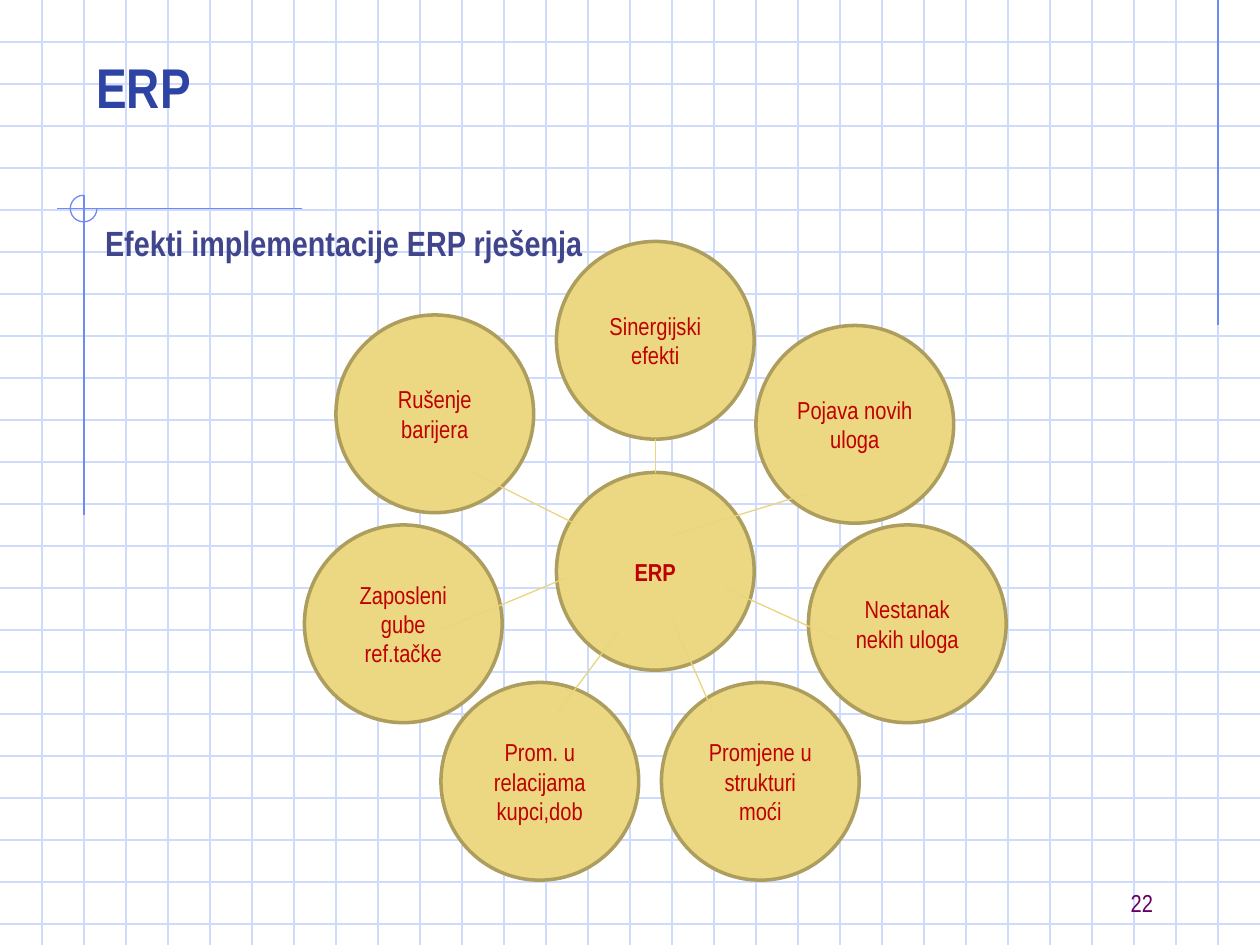
from lxml import etree
from pptx import Presentation
from pptx.dml.color import RGBColor
from pptx.enum import shapes, text
from pptx.oxml import ns
from pptx.util import Pt

WIDTH, HEIGHT = 720, 540
GRID_STEP = 24
DIAMETER = 113
FONT = "Arial Narrow"

GRID = RGBColor(0xCF, 0xDB, 0xFD)
ACCENT = RGBColor(0x6F, 0x89, 0xF7)
SAND = RGBColor(0xEC, 0xD8, 0x82)
SAND_EDGE = RGBColor(0xAD, 0x9E, 0x5E)
SPOKE = RGBColor(0xE9, 0xD5, 0x7C)
RED = RGBColor(0xC0, 0x00, 0x00)
TITLE_BLUE = RGBColor(0x2D, 0x44, 0xA4)
SUBTITLE_BLUE = RGBColor(0x40, 0x45, 0x8C)
PURPLE = RGBColor(0x66, 0x00, 0x66)

presentation = Presentation()
presentation.slide_width, presentation.slide_height = Pt(WIDTH), Pt(HEIGHT)
slide = presentation.slides.add_slide(presentation.slide_layouts[6])


def add_line(x1, y1, x2, y2, color):
    line = slide.shapes.add_connector(
        shapes.MSO_CONNECTOR.STRAIGHT, Pt(x1), Pt(y1), Pt(x2), Pt(y2))
    line.line.color.rgb = color
    line.line.width = Pt(0.75)
    etree.SubElement(line._element.spPr, ns.qn("a:effectLst"))


def write(shape, wording, size, color, bold, align, anchor):
    """Fill a shape with one wrapped, formatted paragraph."""
    frame = shape.text_frame
    frame.word_wrap = True
    frame.vertical_anchor = anchor
    frame.text = wording
    paragraph = frame.paragraphs[0]
    paragraph.alignment = align
    font = paragraph.runs[0].font
    font.name, font.size, font.bold = FONT, Pt(size), bold
    font.color.rgb = color


# Graph paper
for y in range(GRID_STEP, HEIGHT, GRID_STEP):
    add_line(0, y, WIDTH, y, GRID)
for x in range(GRID_STEP, WIDTH, GRID_STEP):
    add_line(x, 0, x, HEIGHT, GRID)

# Accent lines and the three-quarter arc at their crossing
add_line(696, 0, 696, 186, ACCENT)
add_line(172.8, 119.2, 32.6, 119.2, ACCENT)
add_line(48, 111.6, 48, 294.5, ACCENT)
arc = slide.shapes.add_shape(
    shapes.MSO_SHAPE.ARC, Pt(40.2), Pt(111.6), Pt(15.2), Pt(15.2))
arc.adjustments[0] = 0
arc.adjustments[1] = 162  # 270 degrees, in units of 100000/60000 degree
arc.fill.background()
arc.line.color.rgb = ACCENT
arc.line.width = Pt(0.75)
arc.shadow.inherit = False

# Circles: wording, left, top, bold
circles = [
    ("ERP", 318, 270, True),
    ("Rušenje barijera", 192, 180, False),
    ("Sinergijski efekti", 318, 138, False),
    ("Pojava novih uloga", 432, 186, False),
    ("Nestanak nekih uloga", 462, 300, False),
    ("Promjene u strukturi moći", 378, 390, False),
    ("Prom. u relacijama kupci,dob", 252, 390, False),
    ("Zaposleni gube ref.tačke", 174, 300, False),
]
for wording, left, top, bold in circles:
    circle = slide.shapes.add_shape(
        shapes.MSO_SHAPE.FLOWCHART_CONNECTOR,
        Pt(left), Pt(top), Pt(DIAMETER), Pt(DIAMETER))
    circle.shadow.inherit = False
    circle.fill.solid()
    circle.fill.fore_color.rgb = SAND
    circle.line.color.rgb = SAND_EDGE
    circle.line.width = Pt(2)
    circle.text_frame.margin_left = circle.text_frame.margin_right = Pt(6)
    write(circle, wording, 14, RED, bold,
          text.PP_ALIGN.CENTER, text.MSO_ANCHOR.MIDDLE)

# Spokes between the centre and the outer circles
spokes = [
    (374.5, 270, 374.5, 251),
    (384, 306, 462, 282),
    (414, 336, 480, 366),
    (384, 354, 408, 408),
    (354, 360, 318, 408),
    (252, 360, 324, 330),
    (270, 270, 330, 300),
]
for spoke in spokes:
    add_line(*spoke, SPOKE)

# Text boxes: wording, left, top, width, height, size, colour, bold, align, anchor
LEFT, RIGHT = text.PP_ALIGN.LEFT, text.PP_ALIGN.RIGHT
TOP, BOTTOM = text.MSO_ANCHOR.TOP, text.MSO_ANCHOR.BOTTOM
labels = [
    ("Efekti implementacije ERP rješenja", 53, 123, 643, 369,
     20, SUBTITLE_BLUE, True, LEFT, TOP),
    ("22", 516, 492, 150, 36, 14, PURPLE, False, RIGHT, BOTTOM),
    ("ERP", 48, 24, 612, 48, 32, TITLE_BLUE, True, LEFT, BOTTOM),
]
for wording, left, top, width, height, *style in labels:
    box = slide.shapes.add_textbox(Pt(left), Pt(top), Pt(width), Pt(height))
    write(box, wording, *style)

presentation.save("out.pptx")
